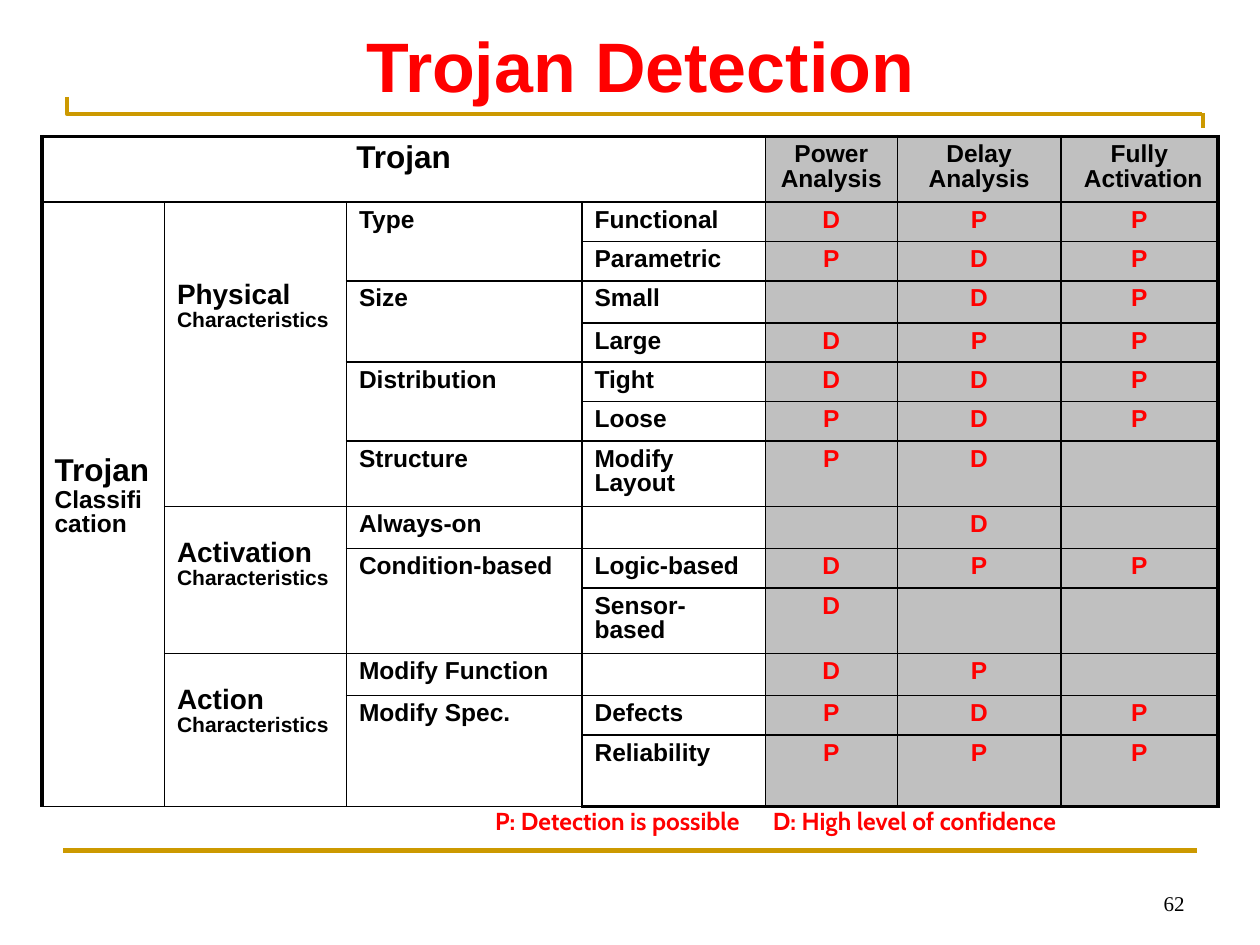
from lxml import etree
from pptx import Presentation
from pptx import util as u
from pptx.dml.color import RGBColor
from pptx.enum import shapes, text
from pptx.oxml.ns import qn

BLACK, RED, GOLD, GRAY = "000000", "FF0000", "CC9900", "C0C0C0"
LEFT, MID, RIGHT = text.PP_ALIGN.LEFT, text.PP_ALIGN.CENTER, text.PP_ALIGN.RIGHT

COLS = [70, 104, 134.6, 104.8, 75.4, 93.5, 89.7]
TALL, LOW = 37.4, 22.5
ROWS = [TALL] + [LOW] * 6 + [TALL, LOW, LOW, TALL, LOW, LOW, 40.8]

# Third and fourth columns, then power, delay and activation marks
BODY = [
    ("Type", "Functional", "D", "P", "P"),
    ("", "Parametric", "P", "D", "P"),
    ("Size", "Small", "", "D", "P"),
    ("", "Large", "D", "P", "P"),
    ("Distribution", "Tight", "D", "D", "P"),
    ("", "Loose", "P", "D", "P"),
    ("Structure", "Modify Layout", "P", "D", ""),
    ("Always-on", "", "", "D", ""),
    ("Condition-based", "Logic-based", "D", "P", "P"),
    ("", "Sensor-based", "D", "", ""),
    ("Modify Function", "", "D", "P", ""),
    ("Modify Spec.", "Defects", "P", "D", "P"),
    ("", "Reliability", "P", "P", "P"),
]
# Row, column, last row, big word, its size, small word, its size, top margin
GROUPS = [
    (1, 0, 13, "Trojan ", 18, "Classification", 14, 145.4),
    (1, 1, 7, "Physical ", 16, "Characteristics", 12, 45.7),
    (8, 1, 10, "Activation ", 16, "Characteristics", 12, 19.4),
    (11, 1, 13, "Action ", 16, "Characteristics", 12, 19.4),
]


def hue(code):
    return RGBColor.from_string(code)


def put(obj, **vals):
    for key, val in vals.items():
        setattr(obj, key, val)


def write(para, words, size, color=BLACK, face="Arial", bold=True):
    run = para.add_run()
    run.text = words
    put(run.font, size=u.Pt(size), name=face, bold=bold)
    run.font.color.rgb = hue(color)


def label(slide, box, align, anchor, top=3.6):
    frame = slide.shapes.add_textbox(*map(u.Pt, box)).text_frame
    put(frame, word_wrap=True, vertical_anchor=anchor, margin_top=u.Pt(top))
    para = frame.paragraphs[0]
    para.alignment = align
    return para


def stroke(shape):
    shape.line.color.rgb = hue(GOLD)
    shape.line.width = u.Pt(2.5)


def rule(slide, *ends):
    line = slide.shapes.add_connector(
        shapes.MSO_CONNECTOR.STRAIGHT, *map(u.Pt, ends))
    stroke(line)
    etree.SubElement(line._element.spPr, qn("a:effectLst"))


def corner(slide):
    path = slide.shapes.build_freeform(u.Pt(38.2), u.Pt(55.4))
    path.add_line_segments(
        [(u.Pt(38.2), u.Pt(65)), (u.Pt(687), u.Pt(65))], close=False)
    shape = path.convert_to_shape()
    shape.fill.background()
    shape.shadow.inherit = False
    stroke(shape)


def edge(cell, side, width):
    props = cell._tc.get_or_add_tcPr()
    line = etree.SubElement(props, qn("a:ln" + side), w=str(u.Pt(width)))
    fill = etree.SubElement(line, qn("a:solidFill"))
    etree.SubElement(fill, qn("a:srgbClr"), val=BLACK)


def style(cell, row, col):
    outer = {"L": col == 0, "R": col == len(COLS) - 1,
             "T": row == 0, "B": row == len(ROWS) - 1}
    for side, thick in outer.items():
        edge(cell, side, 2.25 if thick else 1)
    if col > 3:
        cell.fill.solid()
        cell.fill.fore_color.rgb = hue(GRAY)
    else:
        cell.fill.background()
    put(cell, margin_left=u.Pt(7.2), margin_right=u.Pt(7.2),
        margin_top=u.Pt(3.6), margin_bottom=u.Pt(3.6))
    para = cell.text_frame.paragraphs[0]
    put(para, line_spacing=0.9, alignment=MID if col > 3 or row == 0 else LEFT)
    # Keeps empty cells as low as filled ones
    etree.SubElement(para._p, qn("a:endParaRPr"), sz="1400")


def grid(slide):
    frame = slide.shapes.add_table(
        len(ROWS), len(COLS), u.Pt(24), u.Pt(78),
        u.Pt(sum(COLS)), u.Pt(sum(ROWS)))
    table = frame.table
    put(table, first_row=False, horz_banding=False)
    for part, size in zip(table.columns, COLS):
        part.width = u.Pt(size)
    for part, size in zip(table.rows, ROWS):
        part.height = u.Pt(size)
    for row in range(len(ROWS)):
        for col in range(len(COLS)):
            style(table.cell(row, col), row, col)

    def para(row, col):
        return table.cell(row, col).text_frame.paragraphs[0]

    # Header
    table.cell(0, 0).merge(table.cell(0, 3))
    write(para(0, 0), "Trojan", 18)
    for col, name in enumerate(("Power", "Delay", "Fully"), 4):
        kind = "Activation" if name == "Fully" else "Analysis"
        write(para(0, col), f"{name} {kind}", 14)
    para(0, 6)._p.get_or_add_pPr().set("marL", str(u.Pt(4.5)))
    para(0, 6)._p.get_or_add_pPr().set("indent", str(u.Pt(-4.5)))

    # Groups at the left
    for row, col, last, big, size, small, less, top in GROUPS:
        cell = table.cell(row, col)
        cell.merge(table.cell(last, col))
        cell.margin_top = u.Pt(top)
        write(para(row, col), big, size)
        write(para(row, col), small, less)

    # Traits and marks
    for row, words in enumerate(BODY, 1):
        if not words[0]:
            table.cell(row - 1, 2).merge(table.cell(row, 2))
        for col, word in enumerate(words, 2):
            if word:
                write(para(row, col), word, 14, RED if col > 3 else BLACK)


def main():
    deck = Presentation()
    put(deck, slide_width=u.Pt(720), slide_height=u.Pt(540))
    slide = deck.slides.add_slide(deck.slide_layouts[6])

    # Gold rules
    corner(slide)
    rule(slide, 36, 486, 684, 486)
    rule(slide, 687.6, 64.8, 687.6, 73.4)

    # Title
    top, low = text.MSO_ANCHOR.TOP, text.MSO_ANCHOR.BOTTOM
    para = label(slide, (41.8, 5.8, 648, 48.2), MID, top, 7.2)
    write(para, "Trojan Detection", 40, RED)

    grid(slide)

    # Page number
    para = label(slide, (516.2, 501.8, 167.8, 25.2), RIGHT, low)
    write(para, "62", 12, face="Times New Roman", bold=False)

    # Key to the marks
    para = label(slide, (275.8, 457.2, 434.2, 24.5), LEFT, top)
    tabs = etree.SubElement(para._p.get_or_add_pPr(), qn("a:tabLst"))
    etree.SubElement(tabs, qn("a:tab"), pos=str(u.Pt(158.7)), algn="l")
    write(para, "P: Detection is possible\tD: High level of confidence",
          14, RED, "Cabin")

    deck.save("out.pptx")


if __name__ == "__main__":
    main()
